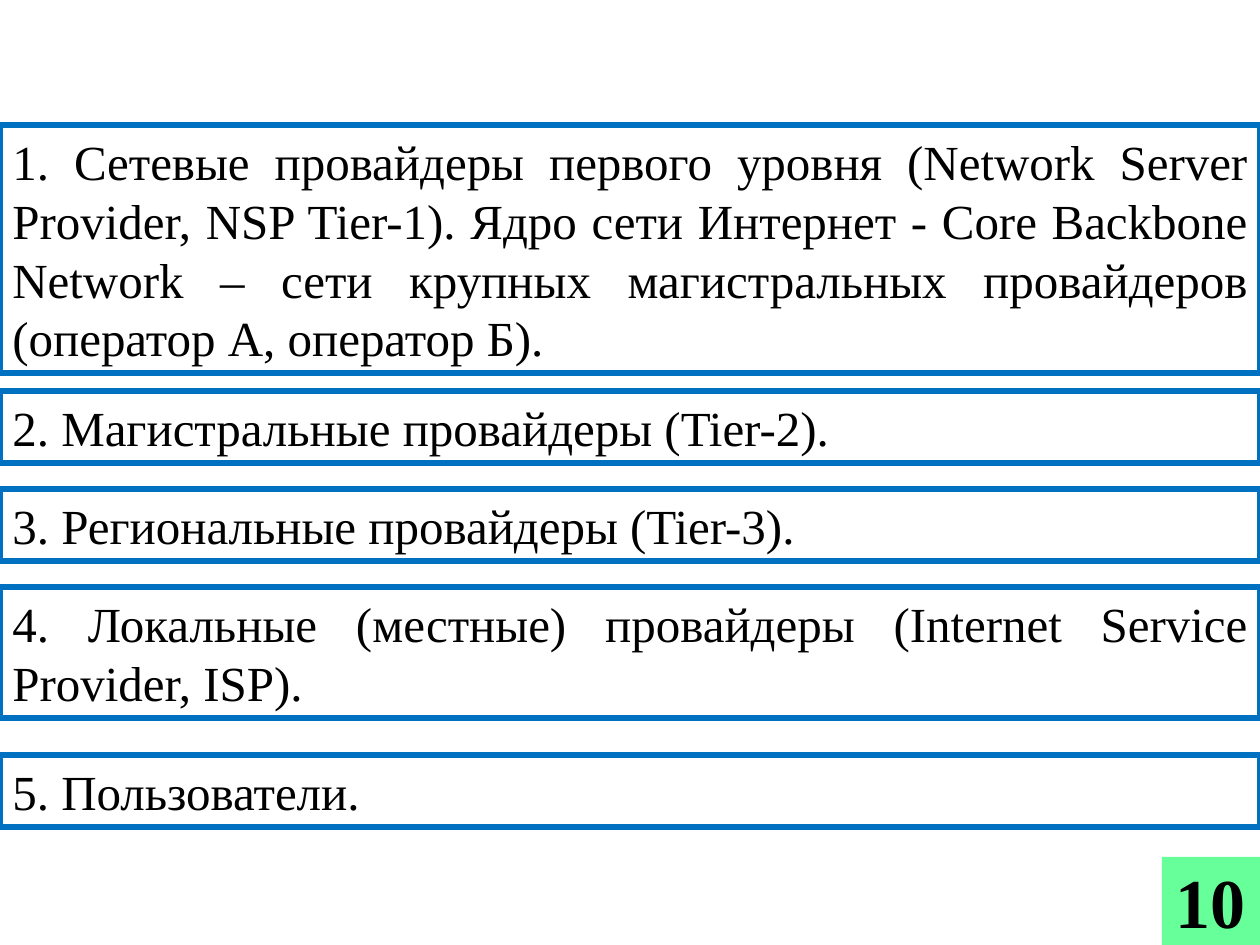
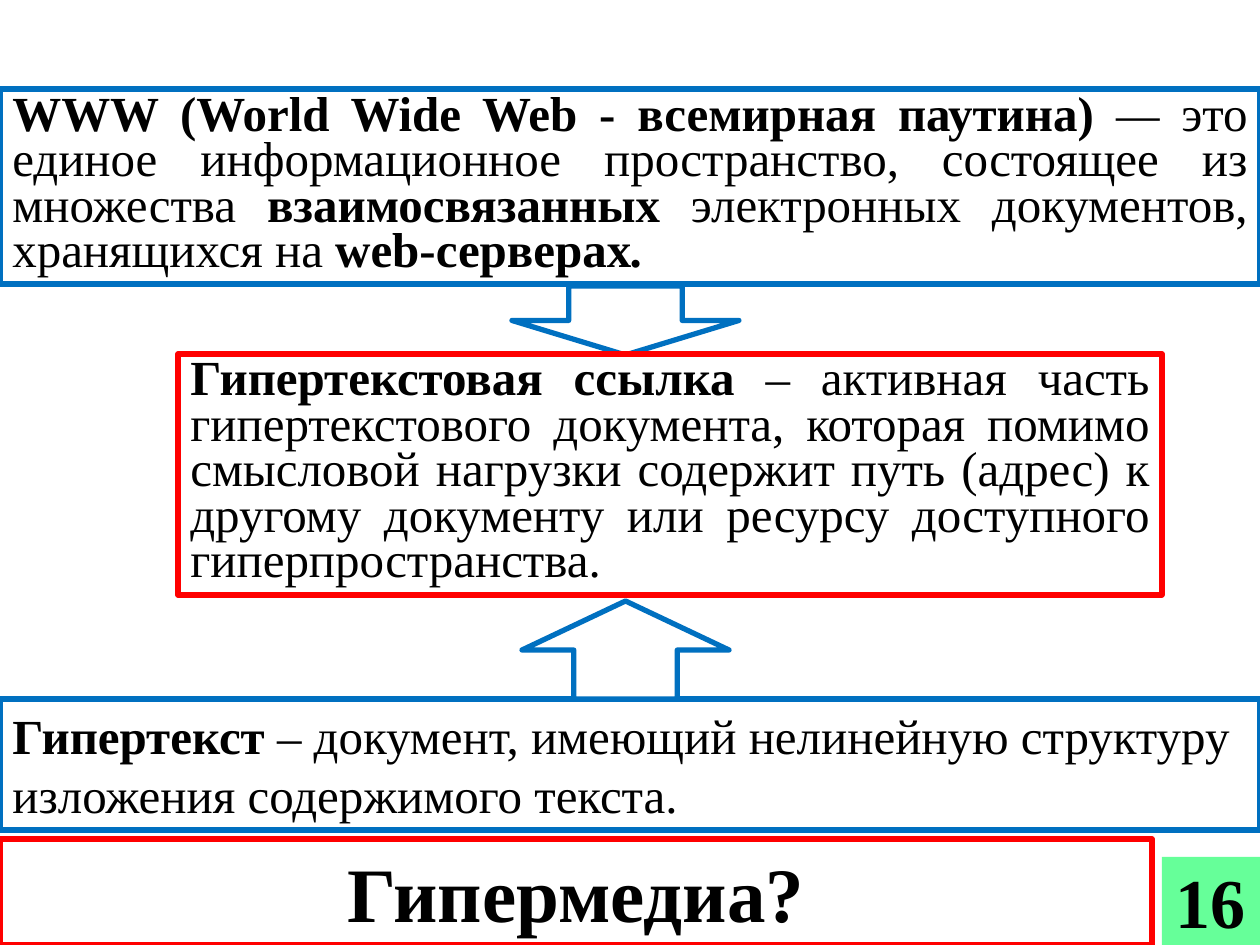
from typing import NamedTuple

from pptx import Presentation
from pptx.dml.color import RGBColor
from pptx.enum.shapes import MSO_SHAPE
from pptx.enum.text import MSO_ANCHOR, MSO_AUTO_SIZE, PP_ALIGN
from pptx.util import Emu, Pt

EMU_PER_PX = 914400 / 126
SLIDE_WIDTH, SLIDE_HEIGHT = 1260, 945
FONT = "Times New Roman"
COLORS = {
    "paper": "FFFFFF",
    "ink": "000000",
    "blue": "0070C0",
    "red": "FF0000",
    "badge": "66FF99",
}


class Area(NamedTuple):
    left: int
    top: int
    width: int
    height: int


class Words(NamedTuple):
    text: str
    bold: bool = False
    italic: bool = False


class Panel(NamedTuple):
    area: Area
    words: list[Words]
    border: str | None = "blue"
    fill: str = "paper"
    align: PP_ALIGN = PP_ALIGN.JUSTIFY
    anchor: MSO_ANCHOR = MSO_ANCHOR.MIDDLE
    size: int = 28
    leading: int | None = None
    grows: bool = True


class Arrow(NamedTuple):
    area: Area
    rotation: int = 0


BADGE_AREA = Area(1162, 857, 98, 88)

PROVIDER_LEVELS = [
    (125, 248, "1. Сетевые провайдеры первого уровня (Network Server Provider, "
               "NSP Tier-1). Ядро сети Интернет - Core Backbone Network – сети "
               "крупных магистральных провайдеров (оператор А, оператор Б)."),
    (391, 72, "2. Магистральные провайдеры (Tier-2)."),
    (489, 72, "3. Региональные провайдеры (Tier-3)."),
    (587, 131, "4. Локальные (местные) провайдеры (Internet Service Provider, ISP)."),
    (755, 72, "5. Пользователи."),
]

WEB = Panel(
    Area(0, 89, SLIDE_WIDTH, 195),
    [
        Words("WWW (World Wide Web - всемирная паутина) ", bold=True),
        Words("—", italic=True),
        Words(" это единое информационное пространство, состоящее из множества "),
        Words("взаимосвязанных", bold=True),
        Words(" электронных документов, хранящихся на "),
        Words("web-серверах", bold=True),
        Words(".", bold=True, italic=True),
    ],
    leading=26,
)
HYPERTEXT = Panel(
    Area(0, 699, SLIDE_WIDTH, 131),
    [
        Words("Гипертекст ", bold=True),
        Words("– документ, имеющий нелинейную структуру изложения содержимого текста."),
    ],
    align=PP_ALIGN.LEFT,
    anchor=MSO_ANCHOR.TOP,
)
HYPERLINK = Panel(
    Area(178, 354, 984, 241),
    [
        Words("Гипертекстовая ссылка", bold=True),
        Words(" – активная часть гипертекстового документа, которая помимо "
              "смысловой нагрузки содержит путь (адрес) к другому документу "
              "или ресурсу доступного гиперпространства."),
    ],
    border="red",
    anchor=MSO_ANCHOR.TOP,
    leading=26,
)
HYPERMEDIA = Panel(
    Area(0, 839, 1152, 106),
    [Words("Гипермедиа?", bold=True)],
    border="red",
    align=PP_ALIGN.CENTER,
    anchor=MSO_ANCHOR.TOP,
    size=44,
)
ARROW_FROM_WEB = Arrow(Area(512, 286, 227, 69))
ARROW_FROM_HYPERTEXT = Arrow(Area(522, 601, 207, 98), rotation=180)


def px(length: int) -> Emu:
    return Emu(round(length * EMU_PER_PX))


def color(name: str) -> RGBColor:
    return RGBColor.from_string(COLORS[name])


def draw_outline(slide, kind: MSO_SHAPE, area: Area, fill: str, border: str | None):
    outline = slide.shapes.add_shape(kind, *map(px, area))
    outline.shadow.inherit = False
    outline.fill.solid()
    outline.fill.fore_color.rgb = color(fill)
    if border is None:
        outline.line.fill.background()
    else:
        outline.line.color.rgb = color(border)
        outline.line.width = Pt(3)
    return outline


def draw_panel(slide, panel: Panel) -> None:
    box = draw_outline(slide, MSO_SHAPE.RECTANGLE, panel.area, panel.fill, panel.border)
    frame = box.text_frame
    frame.word_wrap = True
    frame.vertical_anchor = panel.anchor
    if panel.grows:
        frame.auto_size = MSO_AUTO_SIZE.SHAPE_TO_FIT_TEXT
    paragraph = frame.paragraphs[0]
    paragraph.alignment = panel.align
    if panel.leading is not None:
        paragraph.line_spacing = Pt(panel.leading)
    for words in panel.words:
        run = paragraph.add_run()
        run.text = words.text
        run.font.name = FONT
        run.font.size = Pt(panel.size)
        run.font.bold = words.bold
        run.font.italic = words.italic
        run.font.color.rgb = color("ink")


def draw_arrow(slide, arrow: Arrow) -> None:
    block = draw_outline(slide, MSO_SHAPE.DOWN_ARROW, arrow.area, "paper", "blue")
    block.rotation = arrow.rotation


def draw_slide_number(slide, number: int) -> None:
    draw_panel(slide, Panel(
        BADGE_AREA, [Words(str(number), bold=True)], border=None, fill="badge",
        align=PP_ALIGN.CENTER, size=40, grows=False,
    ))


def build_providers(slide) -> None:
    for top, height, level in PROVIDER_LEVELS:
        draw_panel(slide, Panel(Area(0, top, SLIDE_WIDTH, height), [Words(level)]))
    draw_slide_number(slide, 10)


def build_web(slide) -> None:
    draw_panel(slide, WEB)
    draw_panel(slide, HYPERTEXT)
    draw_arrow(slide, ARROW_FROM_WEB)
    draw_panel(slide, HYPERLINK)
    draw_panel(slide, HYPERMEDIA)
    draw_arrow(slide, ARROW_FROM_HYPERTEXT)
    draw_slide_number(slide, 16)


def main() -> None:
    deck = Presentation()
    deck.slide_width, deck.slide_height = px(SLIDE_WIDTH), px(SLIDE_HEIGHT)
    blank = deck.slide_layouts[6]
    for build in (build_providers, build_web):
        build(deck.slides.add_slide(blank))
    deck.save("out.pptx")


if __name__ == "__main__":
    main()
